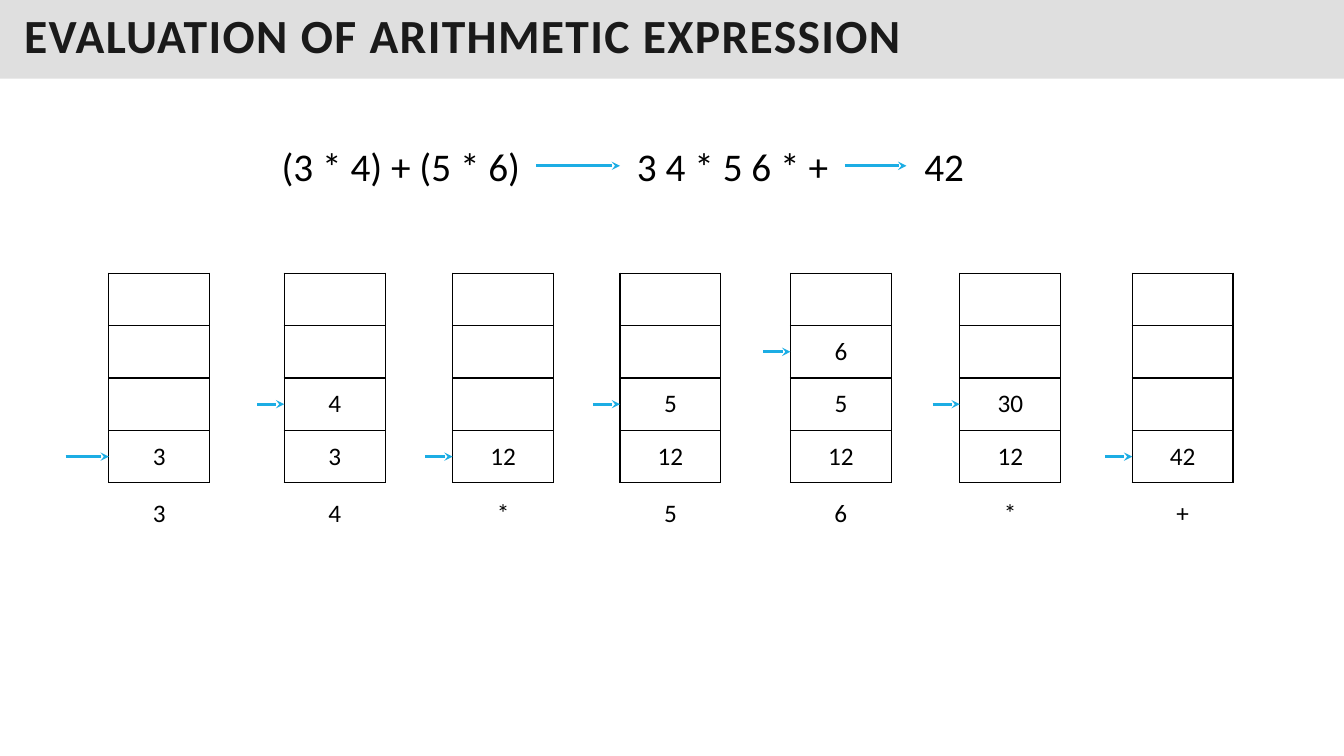
from lxml import etree
from pptx import Presentation
from pptx.dml.color import RGBColor
from pptx.enum.shapes import MSO_CONNECTOR
from pptx.enum.text import MSO_ANCHOR, MSO_AUTO_SIZE, PP_ALIGN
from pptx.oxml.ns import qn
from pptx.util import Inches, Pt

STRAIGHT = MSO_CONNECTOR.STRAIGHT
MIDDLE = MSO_ANCHOR.MIDDLE
GROW, FIXED = MSO_AUTO_SIZE.SHAPE_TO_FIT_TEXT, MSO_AUTO_SIZE.NONE
LEFT, CENTER = PP_ALIGN.LEFT, PP_ALIGN.CENTER

# Content
TITLE = "EVALUATION OF ARITHMETIC EXPRESSION"
TERMS = [  # text, left, width
    ("(3 * 4) + (5 * 6)", 2.63, 2.69),
    ("3 4 * 5 6 * +", 6.15, 2.23),
    ("42", 8.99, 0.75),
]
STEPS = [  # token read, stack from bottom to top, left, arrow length
    ("3", ["3"], 1.08, 0.43),
    ("4", ["3", "4"], 2.82, 0.27),
    ("*", ["12"], 4.49, 0.27),
    ("5", ["12", "5"], 6.15, 0.27),
    ("6", ["12", "5", "6"], 7.84, 0.27),
    ("*", ["12", "30"], 9.52, 0.27),
    ("+", ["42"], 11.23, 0.27),
]
FONT, BLACK, BLUE = "Calibri", "000000", "1CADE4"
TERM_Y, TERM_H = 1.36, 0.57
TOP, CELL_W, CELL_H, SLOTS = 2.71, 1, 0.52, 4
TOKEN_Y, TOKEN_W, TOKEN_H = 4.88, 0.33, 0.4


def color(code):
    return RGBColor.from_string(code)


def style(para, size, code=BLACK, align=CENTER, bold=False):
    para.alignment = align
    font = para.font
    font.name, font.size, font.bold = FONT, Pt(size), bold
    font.color.rgb = color(code)


def add_text(text, x, y, w, h, size, wrap=True):
    box = slide.shapes.add_textbox(Inches(x), Inches(y), Inches(w), Inches(h))
    frame = box.text_frame
    frame.word_wrap, frame.auto_size = wrap, GROW
    frame.text = text
    style(frame.paragraphs[0], size)
    return box


def add_arrow(x1, x2, y):
    line = slide.shapes.add_connector(
        STRAIGHT, Inches(x1), Inches(y), Inches(x2), Inches(y))
    line.line.color.rgb = color(BLUE)
    line.line.width = Pt(2)
    etree.SubElement(line.line._get_or_add_ln(), qn("a:tailEnd"), type="stealth")
    etree.SubElement(line._element.spPr, qn("a:effectLst"))
    return line


def add_borders(cell):
    props = cell._tc.get_or_add_tcPr()
    for i, side in enumerate(("a:lnL", "a:lnR", "a:lnT", "a:lnB")):
        edge = etree.Element(qn(side), w=str(Pt(1)))
        fill = etree.SubElement(edge, qn("a:solidFill"))
        etree.SubElement(fill, qn("a:srgbClr"), val=BLACK)
        props.insert(i, edge)


def add_stack(items, x):
    table = slide.shapes.add_table(
        SLOTS, 1, Inches(x), Inches(TOP), Inches(CELL_W),
        Inches(CELL_H * SLOTS)).table
    table.first_row = table.horz_banding = False
    slots = [""] * (SLOTS - len(items)) + items[::-1]
    for row, text in enumerate(slots):
        cell = table.cell(row, 0)
        cell.fill.background()
        add_borders(cell)
        cell.vertical_anchor = MIDDLE
        cell.text = text
        style(cell.text_frame.paragraphs[0], 18)


deck = Presentation()
deck.slide_width, deck.slide_height = Inches(13.33), Inches(7.5)
slide = deck.slides.add_slide(deck.slide_layouts[5])

# Title band
title = slide.shapes.title
title.left, title.top = Inches(0), Inches(0)
title.width, title.height = Inches(13.33), Inches(0.78)
title.fill.solid()
title.fill.fore_color.rgb = color("C0C0C0")
tint = title._element.spPr.find(qn("a:solidFill"))[0]
etree.SubElement(tint, qn("a:alpha"), val="50000")
frame = title.text_frame
frame.text = TITLE
frame.word_wrap, frame.auto_size = True, FIXED
frame.vertical_anchor = MIDDLE
frame.margin_left = frame.margin_right = Inches(0.24)
frame.margin_top = frame.margin_bottom = Inches(0.12)
head = frame.paragraphs[0]
head.line_spacing = 0.8
style(head, 34, "1A1A1A", LEFT, True)
head.runs[0]._r.get_or_add_rPr().set("spc", "100")

# Infix, postfix and result, joined by arrows
boxes = [add_text(text, x, TERM_Y, w, TERM_H, 28) for text, x, w in TERMS]
for start, end in zip(boxes, boxes[1:]):
    arrow = add_arrow(0, 1, TERM_Y)
    arrow.begin_connect(start, 3)
    arrow.end_connect(end, 1)

# One stack per token, with an arrow at its top item
for token, items, x, reach in STEPS:
    add_stack(items, x)
    add_text(token, x + (CELL_W - TOKEN_W) / 2, TOKEN_Y, TOKEN_W, TOKEN_H,
             18, wrap=False)
    add_arrow(x - reach, x, TOP + (SLOTS - len(items) + 0.5) * CELL_H)

deck.save("out.pptx")
